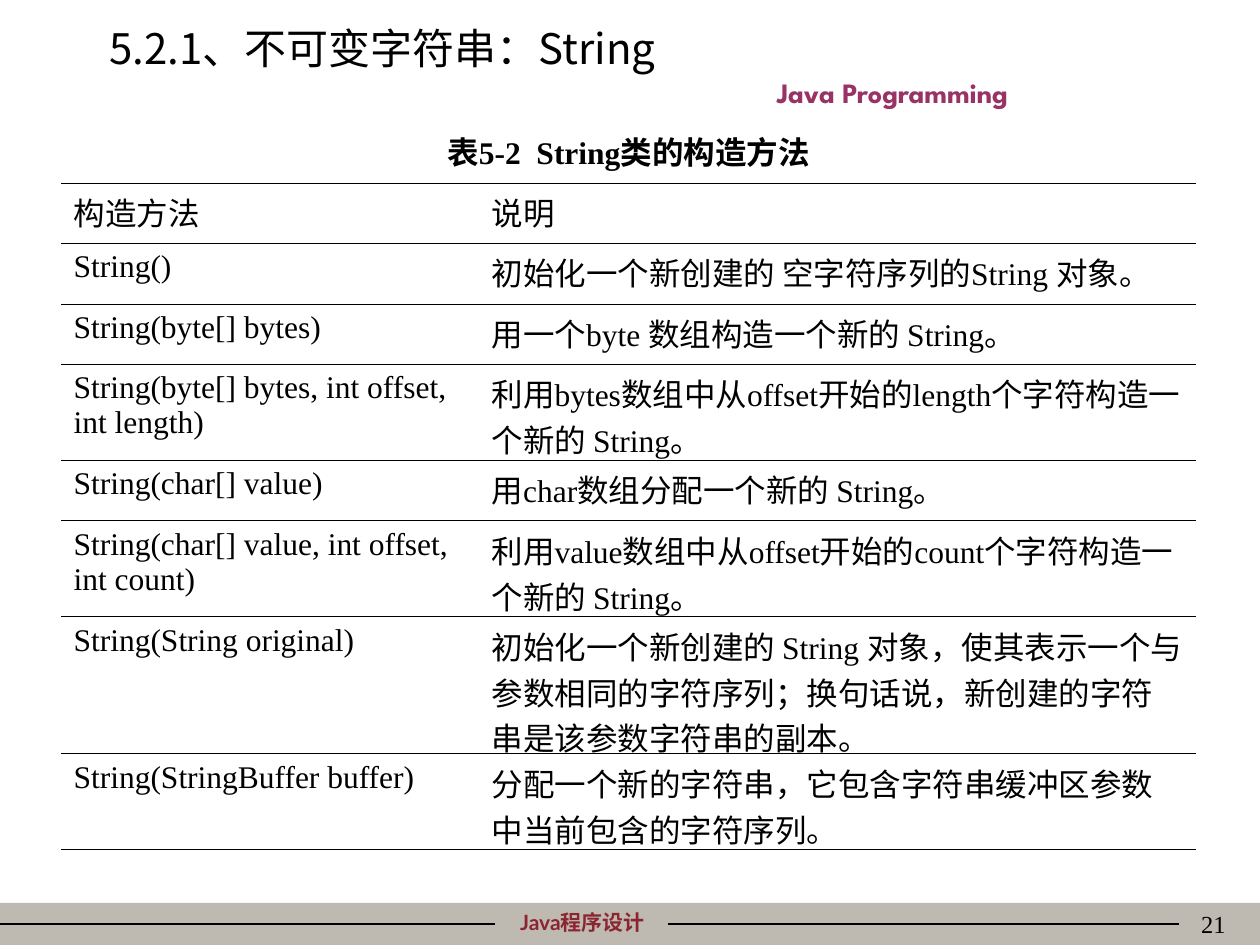
import pptx
import pptx.util
import pptx.dml.color
import pptx.enum.shapes
import pptx.enum.text
import pptx.oxml.ns
import lxml.etree

SCALE = 914400 / 126
HUES = {"ink": "000000", "band": "BFBAB1", "plum": "993366", "wine": "8C2532"}
SERIF = "Times New Roman"
HAN = "Noto Sans CJK SC"
ALIGN = pptx.enum.text.PP_ALIGN
ANCHOR = pptx.enum.text.MSO_ANCHOR
COLS = [418, 717]
ROWS = [
    (61, "表5-2  String类的构造方法", ""),
    (60, "构造方法", "说明"),
    (61, "String()", "初始化一个新创建的 空字符序列的String 对象。"),
    (60, "String(byte[] bytes)", "用一个byte 数组构造一个新的 String。"),
    (96, "String(byte[] bytes, int offset, int length)",
     "利用bytes数组中从offset开始的length个字符构造一个新的 String。"),
    (61, "String(char[] value)", "用char数组分配一个新的 String。"),
    (96, "String(char[] value, int offset, int count)",
     "利用value数组中从offset开始的count个字符构造一个新的 String。"),
    (137, "String(String original)",
     "初始化一个新创建的 String 对象，使其表示一个与参数相同的字符序列；"
     "换句话说，新创建的字符串是该参数字符串的副本。"),
    (96, "String(StringBuffer buffer)",
     "分配一个新的字符串，它包含字符串缓冲区参数中当前包含的字符序列。"),
]


def px(num):
    """Turn px into EMU."""
    return pptx.util.Emu(round(num * SCALE))


def hue(name):
    """Look up a colour by name."""
    return pptx.dml.color.RGBColor.from_string(HUES[name])


def node(root, tag, **attrs):
    """Add a drawing element under a root."""
    return lxml.etree.SubElement(root, pptx.oxml.ns.qn(tag), **attrs)


def write(frame, text, size=18, font=SERIF, color="ink", bold=False, align=ALIGN.LEFT):
    """Put one formatted run of text in a frame."""
    para = frame.paragraphs[0]
    para.alignment = align
    run = para.add_run()
    run.text = text
    run.font.size = pptx.util.Pt(size)
    run.font.bold = bold
    run.font.name = font
    run.font.color.rgb = hue(color)
    node(run.font._element, "a:ea", typeface=HAN)


def label(slide, box, text, **form):
    """Add a text box."""
    frame = slide.shapes.add_textbox(*map(px, box)).text_frame
    frame.word_wrap = True
    write(frame, text, **form)


def head(slide, text):
    """Place and fill the title."""
    title = slide.shapes.title
    title.left, title.top, title.width, title.height = map(px, (97, 16, 1071, 63))
    title.text_frame.vertical_anchor = ANCHOR.MIDDLE
    title.text_frame.auto_size = pptx.enum.text.MSO_AUTO_SIZE.NONE
    write(title.text_frame, text, size=24, font=HAN)


def band(slide, box):
    """Add the footer band."""
    rect = slide.shapes.add_shape(pptx.enum.shapes.MSO_SHAPE.RECTANGLE, *map(px, box))
    rect.shadow.inherit = False
    rect.fill.solid()
    rect.fill.fore_color.rgb = hue("band")
    rect.line.fill.background()


def rule(slide, left, right, top):
    """Add a level line."""
    kind = pptx.enum.shapes.MSO_CONNECTOR.STRAIGHT
    line = slide.shapes.add_connector(kind, px(left), px(top), px(right), px(top))
    line.line.color.rgb = hue("ink")
    line.line.width = pptx.util.Pt(0.75)
    node(line._element.spPr, "a:effectLst")


def edge(cell, sides):
    """Draw the named sides of a cell and clear the others."""
    props = cell._tc.get_or_add_tcPr()
    for side in "LRTB":
        line = node(props, "a:ln" + side, w=str(pptx.util.Pt(0.45)))
        if side in sides:
            node(node(line, "a:solidFill"), "a:srgbClr", val=HUES["ink"])
        else:
            node(line, "a:noFill")


def grid(slide, left, top):
    """Add the table of methods."""
    tall = sum(row[0] for row in ROWS)
    box = map(px, (left, top, sum(COLS), tall))
    table = slide.shapes.add_table(len(ROWS), len(COLS), *box).table
    table.first_row = table.horz_banding = False
    for col, wide in zip(table.columns, COLS):
        col.width = px(wide)
    table.cell(0, 0).merge(table.cell(0, 1))
    for i, (high, *texts) in enumerate(ROWS):
        table.rows[i].height = px(high)
        for j, text in enumerate(texts):
            cell = table.cell(i, j)
            cell.margin_bottom = 0
            edge(cell, "TB" if i else "B")
            cell.fill.background()
            if text:
                align = ALIGN.LEFT if i else ALIGN.CENTER
                write(cell.text_frame, text, bold=not i, align=align)


def main():
    """Build the slide and save it."""
    deck = pptx.Presentation()
    deck.slide_width, deck.slide_height = px(1260), px(945)
    slide = deck.slides.add_slide(deck.slide_layouts[5])
    band(slide, (0, 903, 1260, 42))
    label(slide, (456, 903, 253, 38), "Java程序设计", size=12, font="Lato",
          color="wine", bold=True, align=ALIGN.CENTER)
    rule(slide, 0, 495, 924)
    rule(slide, 668, 1179, 924)
    label(slide, (640, 69, 505, 47), "Java Programming", size=16,
          font="League Spartan", color="plum", bold=True, align=ALIGN.CENTER)
    label(slide, (976, 903, 262, 42), "21", size=14, align=ALIGN.RIGHT)
    head(slide, "5.2.1、不可变字符串：String")
    grid(slide, 61, 122)
    deck.save("out.pptx")


if __name__ == "__main__":
    main()
